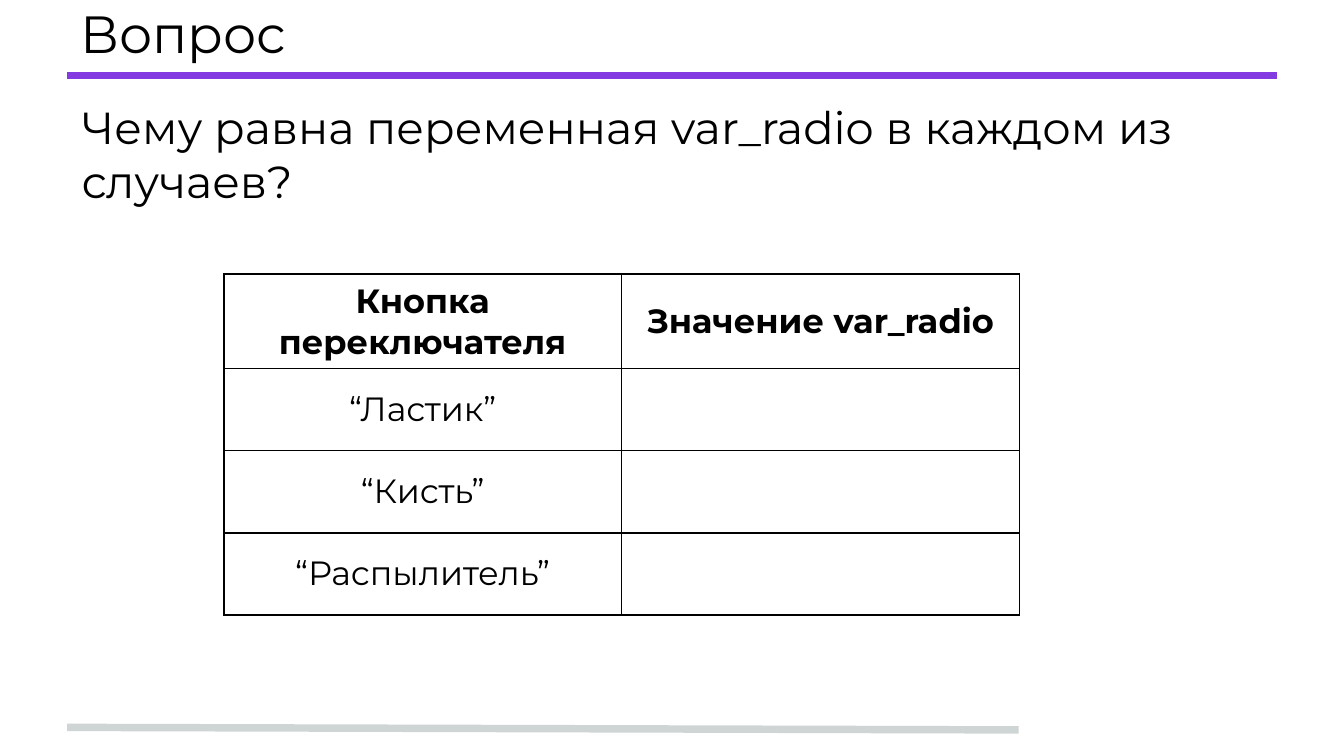
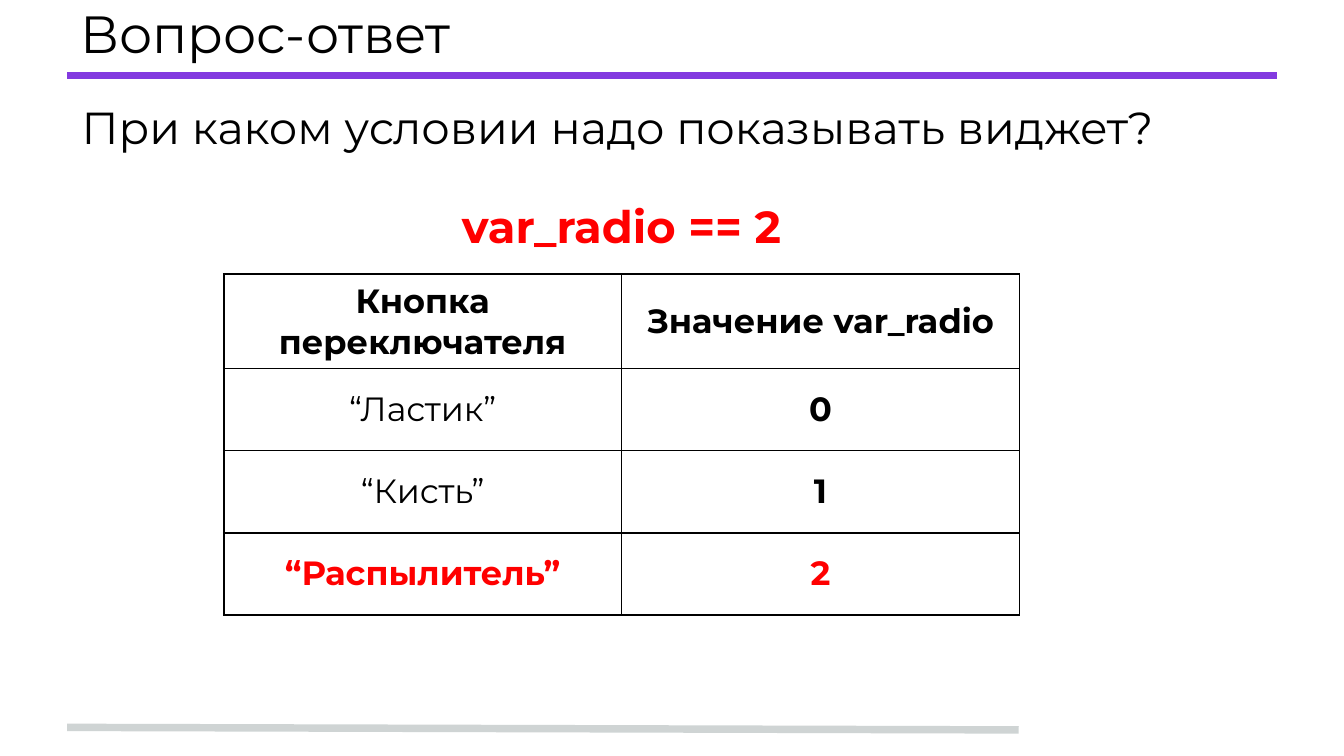
from dataclasses import dataclass

from lxml.etree import SubElement
from pptx import Presentation as Deck
from pptx.dml.color import RGBColor as Rgb
from pptx.enum.shapes import MSO_CONNECTOR as Link
from pptx.enum.text import MSO_ANCHOR as Anchor, PP_ALIGN as Align
from pptx.oxml import parse_xml
from pptx.oxml.ns import nsdecls, qn
from pptx.util import Inches, Pt


@dataclass(frozen=True)
class Theme:
    """Colours, type sizes and line widths of the deck."""
    font: str = "Montserrat"
    ink: str = "000000"
    paper: str = "FFFFFF"
    accent: str = "833AE0"
    muted: str = "CFD4D4"
    alert: str = "FF0000"
    title: int = 28
    body: int = 24
    cell: int = 18
    rule: int = 4
    border: int = 1


class Pen:
    """Draws on the current slide, on a grid of 20 columns and 45 rows."""
    COLS, ROWS = 20, 45

    def __init__(self, deck, theme):
        """Keep the deck and its theme."""
        self.deck, self.theme = deck, theme
        self.slide = None

    def col(self, n):
        """Turn columns into a length."""
        return round(self.deck.slide_width * n / self.COLS)

    def row(self, n):
        """Turn rows into a length."""
        return round(self.deck.slide_height * n / self.ROWS)

    def page(self, title):
        """Start a slide with its two rules and its title."""
        t = self.theme
        self.slide = self.deck.slides.add_slide(self.deck.slide_layouts[6])
        fill = self.slide.background.fill
        fill.solid()
        fill.fore_color.rgb = Rgb.from_string(t.paper)
        self.rule((1, 43.3), (15.16, 43.45), t.muted)
        self.rule((1, 4.5), (19, 4.5), t.accent)
        self.text(title, (1, 0, 18, 3.9), t.title, anchor=Anchor.MIDDLE)

    def rule(self, start, end, color):
        """Draw a thick straight line."""
        line = self.slide.shapes.add_connector(
            Link.STRAIGHT, self.col(start[0]), self.row(start[1]),
            self.col(end[0]), self.row(end[1]))
        line.line.color.rgb = Rgb.from_string(color)
        line.line.width = Pt(self.theme.rule)
        SubElement(line._element.spPr, qn("a:effectLst"))

    def style(self, par, size, color=None, bold=False, align=Align.LEFT):
        """Format a paragraph and its runs."""
        par.alignment = align
        for run in par.runs:
            font = run.font
            font.name, font.size, font.bold = self.theme.font, Pt(size), bold
            font.color.rgb = Rgb.from_string(color or self.theme.ink)

    def text(self, words, box, size, anchor=Anchor.TOP, pad=0.8, **look):
        """Place a wrapped text box and return its paragraph."""
        x, y, w, h = box
        frame = self.slide.shapes.add_textbox(
            self.col(x), self.row(y), self.col(w), self.row(h)).text_frame
        frame.word_wrap, frame.vertical_anchor = True, anchor
        frame.margin_left = frame.margin_right = self.col(0.2)
        frame.margin_top = frame.margin_bottom = self.row(pad)
        frame.text = words
        par = frame.paragraphs[0]
        self.style(par, size, **look)
        return par

    def ask(self, words, rows):
        """Write the question under the title."""
        par = self.text(words, (1, 5.14, 18, rows), self.theme.body)
        par.space_before = Pt(6)
        par._p.get_or_add_pPr().set("marL", str(self.col(0.02)))

    def edge(self, cell):
        """Draw the four borders of a cell."""
        props = cell._tc.get_or_add_tcPr()
        for i, side in enumerate("LRTB"):
            props.insert(i, parse_xml(
                f'<a:ln{side} {nsdecls("a")} w="{Pt(self.theme.border)}">'
                f'<a:solidFill><a:srgbClr val="{self.theme.ink}"/></a:solidFill>'
                f'</a:ln{side}>'))

    def table(self, data, hot=None):
        """Place the table of values, with row hot in the alert colour."""
        t, wide, high = self.theme, 5.92, 4.9
        grid = self.slide.shapes.add_table(
            len(data), len(data[0]), self.col(3.33), self.row(16.32),
            self.col(wide * len(data[0])), self.row(high * len(data))).table
        grid.first_row = grid.horz_banding = False
        for r, words in enumerate(data):
            for c, word in enumerate(words):
                cell = grid.cell(r, c)
                cell.fill.solid()
                cell.fill.fore_color.rgb = Rgb.from_string(t.paper)
                cell.vertical_anchor = Anchor.MIDDLE
                cell.text_frame.text = word
                self.style(cell.text_frame.paragraphs[0], t.cell,
                           t.alert if r == hot else t.ink,
                           r in (0, hot) or c == 1, Align.CENTER)
                self.edge(cell)


HEAD = ("Кнопка переключателя", "Значение var_radio")
TOOLS = ("“Ластик”", "“Кисть”", "“Распылитель”")


def main():
    """Build both slides and save them."""
    deck = Deck()
    deck.slide_width = Inches(10)
    deck.slide_height = deck.slide_width * 9 // 16
    theme = Theme()
    pen = Pen(deck, theme)

    pen.page("Вопрос")
    pen.ask("Чему равна переменная var_radio в каждом из случаев?", 10)
    pen.table([HEAD, *((tool, "") for tool in TOOLS)])

    pen.page("Вопрос-ответ")
    pen.ask("При каком условии надо показывать виджет?", 6.3)
    pen.table([HEAD, *((tool, str(i)) for i, tool in enumerate(TOOLS))], hot=3)
    pen.text("var_radio == 2", (5.98, 11.44, 6.54, 4), theme.body, pad=0.4,
             color=theme.alert, bold=True, align=Align.CENTER)

    deck.save("out.pptx")


if __name__ == "__main__":
    main()
